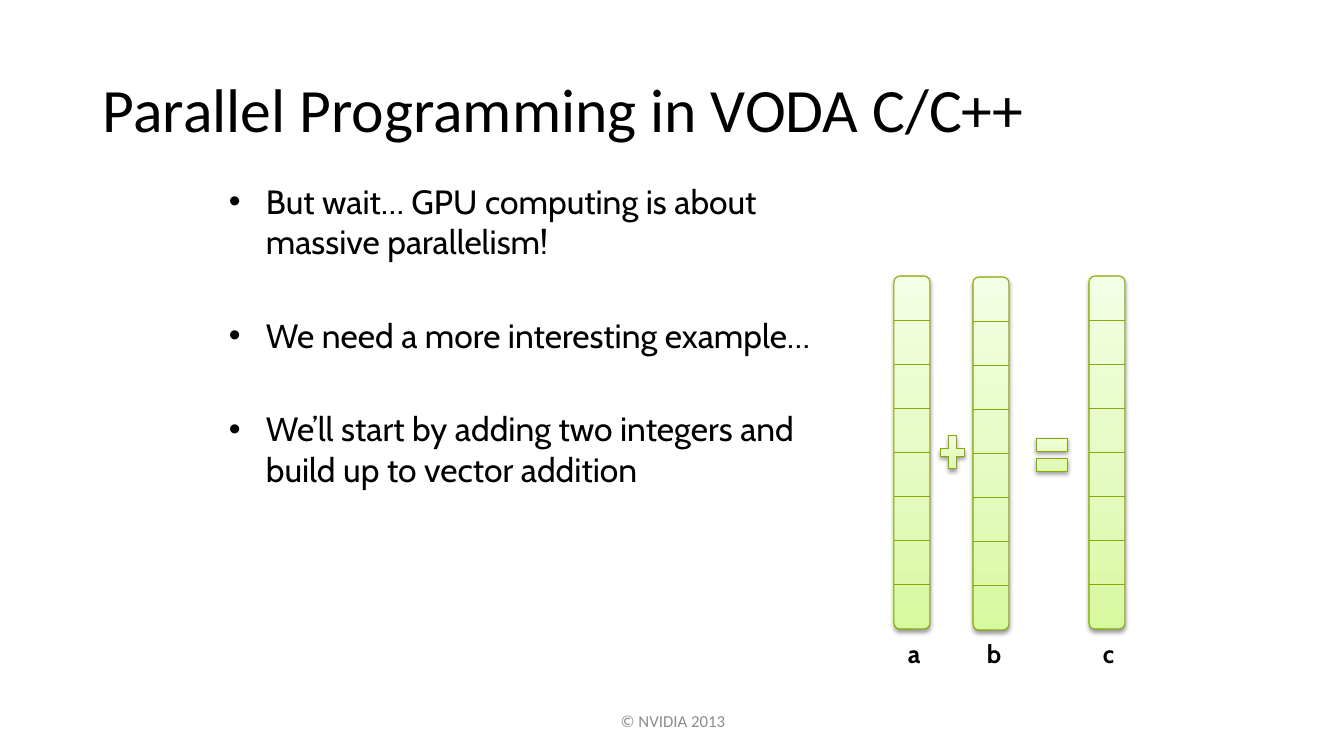
from lxml import etree
from pptx import Presentation
from pptx.dml.color import RGBColor
from pptx.enum.shapes import MSO_CONNECTOR, MSO_SHAPE
from pptx.enum.text import MSO_ANCHOR, PP_ALIGN
from pptx.oxml import parse_xml
from pptx.oxml.ns import qn
from pptx.util import Emu, Pt

LINE = MSO_CONNECTOR.STRAIGHT
ROUNDED = MSO_SHAPE.ROUNDED_RECTANGLE
PLUS = MSO_SHAPE.MATH_PLUS
EQUAL = MSO_SHAPE.MATH_EQUAL
TOP, MIDDLE = MSO_ANCHOR.TOP, MSO_ANCHOR.MIDDLE
LEFT, CENTER = PP_ALIGN.LEFT, PP_ALIGN.CENTER

BLACK = RGBColor(0x00, 0x00, 0x00)
GRAY = RGBColor(0x8C, 0x8C, 0x8C)
GREEN = RGBColor(0x87, 0xA9, 0x00)
LIGHT_GREENS = [
    (0, RGBColor(0xD7, 0xF9, 0x9E)),
    (35, RGBColor(0xE2, 0xFA, 0xBC)),
    (100, RGBColor(0xF4, 0xFE, 0xE4)),
]

EMU_PER_PX = 914400 / 100.8
NAMESPACE = 'xmlns:a="http://schemas.openxmlformats.org/drawingml/2006/main"'

VECTORS = [("a", 894, 276), ("b", 973, 277), ("c", 1089, 276)]
VECTOR_WIDTH, VECTOR_HEIGHT, CELL_COUNT = 36, 353, 8
LABEL_OFFSET, LABEL_TOP = 4, 633
BULLETS = [
    "But wait… GPU computing is about massive parallelism!",
    "We need a more interesting example…",
    "We’ll start by adding two integers and build up to vector addition",
]


def px(length):
    """Turn a length in pixels into EMU."""
    return Emu(round(length * EMU_PER_PX))


def add_text(slide, box, paragraphs, font_name, size, color=BLACK, bold=False,
             anchor=TOP, align=LEFT, wrap=True):
    """Add a text box and return its paragraphs."""
    frame = slide.shapes.add_textbox(*map(px, box)).text_frame
    frame.word_wrap = wrap
    frame.vertical_anchor = anchor
    frame.text = "\n".join(paragraphs)
    for paragraph in frame.paragraphs:
        paragraph.alignment = align
        for run in paragraph.runs:
            run.font.name = font_name
            run.font.size = Pt(size)
            run.font.bold = bold
            run.font.color.rgb = color
    return frame.paragraphs


def add_bullets(slide, box, items):
    """Add a bulleted list with wide gaps between its items."""
    indent = px(37)
    for index, paragraph in enumerate(add_text(slide, box, items, "Cabin", 24)):
        properties = paragraph._p.get_or_add_pPr()
        properties.set("marL", str(indent))
        properties.set("indent", str(-indent))
        etree.SubElement(properties, qn("a:buFont"), typeface="Arial")
        etree.SubElement(properties, qn("a:buChar"), char="•")
        if index:
            paragraph.space_before = Pt(38)


def add_green_shape(slide, kind, box):
    """Add a shape with a green gradient, outline and soft shadow."""
    shape = slide.shapes.add_shape(kind, *map(px, box))
    shape.line.color.rgb = GREEN
    shape.line.width = Pt(0.75)
    shape.shadow.inherit = False
    properties = shape._element.spPr
    stops = "".join(
        f'<a:gs pos="{position * 1000}"><a:srgbClr val="{color}"/></a:gs>'
        for position, color in LIGHT_GREENS
    )
    gradient = parse_xml(
        f'<a:gradFill {NAMESPACE} rotWithShape="1"><a:gsLst>{stops}</a:gsLst>'
        '<a:lin ang="16200000" scaled="0"/></a:gradFill>'
    )
    properties.find(qn("a:prstGeom")).addnext(gradient)
    properties.find(qn("a:effectLst")).append(parse_xml(
        f'<a:outerShdw {NAMESPACE} blurRad="40000" dist="20000" dir="5400000" '
        'rotWithShape="0"><a:srgbClr val="000000"><a:alpha val="38000"/>'
        '</a:srgbClr></a:outerShdw>'
    ))


def add_divider(slide, left, right, y):
    """Add a thin horizontal line between two cells."""
    line = slide.shapes.add_connector(LINE, px(left), px(y), px(right), px(y))
    line.line.color.rgb = GREEN
    line.line.width = Pt(0.75)
    etree.SubElement(line._element.spPr, qn("a:effectLst"))


def add_vector(slide, name, left, top):
    """Add a column of equal cells with its name below."""
    add_green_shape(slide, ROUNDED, (left, top, VECTOR_WIDTH, VECTOR_HEIGHT))
    for cell in range(1, CELL_COUNT):
        y = top + VECTOR_HEIGHT * cell / CELL_COUNT
        add_divider(slide, left, left + VECTOR_WIDTH, y)
    label_box = (left + LABEL_OFFSET, LABEL_TOP, 34, 40)
    add_text(slide, label_box, [name], "Cabin", 18, bold=True, wrap=False)


def main():
    """Build the slide and save it."""
    presentation = Presentation()
    presentation.slide_width = px(1344)
    presentation.slide_height = px(756)
    slide = presentation.slides.add_slide(presentation.slide_layouts[6])

    title = add_text(slide, (93, 40, 1159, 146),
                     ["Parallel Programming in VODA C/C++"],
                     "Calibri", 44, anchor=MIDDLE)
    title[0].line_spacing = 0.9
    add_bullets(slide, (219, 176, 645, 521), BULLETS)
    for name, left, top in VECTORS:
        add_vector(slide, name, left, top)
    add_green_shape(slide, PLUS, (936, 430, 33, 45))
    add_green_shape(slide, EQUAL, (1031, 427, 42, 56))
    add_text(slide, (446, 701, 454, 40), ["© NVIDIA 2013"], "Calibri", 12,
             color=GRAY, anchor=MIDDLE, align=CENTER)

    presentation.save("out.pptx")


if __name__ == "__main__":
    main()
